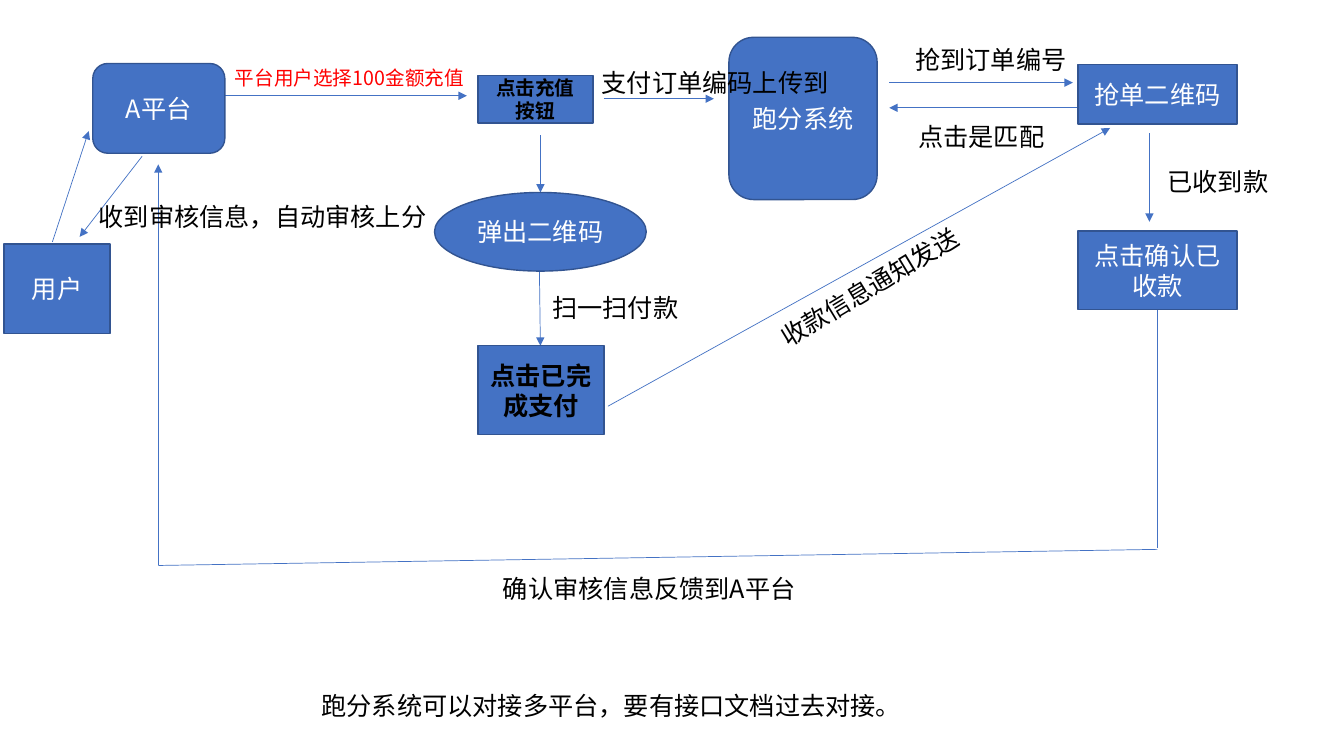
import pptx
import pptx.util
import pptx.dml.color
import pptx.enum.shapes
import pptx.enum.text
import pptx.oxml
import pptx.oxml.ns
from pptx.util import Inches

FONT = "Noto Sans CJK SC"
BLUE = pptx.dml.color.RGBColor(0x44, 0x72, 0xC4)
BORDER = pptx.dml.color.RGBColor(0x32, 0x54, 0x91)
WHITE = pptx.dml.color.RGBColor(0xFF, 0xFF, 0xFF)
BLACK = pptx.dml.color.RGBColor(0x00, 0x00, 0x00)
RED = pptx.dml.color.RGBColor(0xFF, 0x00, 0x00)

KINDS = pptx.enum.shapes.MSO_SHAPE
RECTANGLE, ROUNDED, OVAL = KINDS.RECTANGLE, KINDS.ROUNDED_RECTANGLE, KINDS.OVAL

STEPS = [
    ("A平台", ROUNDED, (0.92, 0.63, 1.31, 0.89), {}),
    ("跑分系统", ROUNDED, (7.23, 0.37, 1.47, 1.61), {}),
    ("点击充值按钮", RECTANGLE, (4.74, 0.75, 1.14, 0.47),
     {"size": 14, "color": BLACK, "bold": True}),
    ("抢单二维码", RECTANGLE, (10.69, 0.64, 1.58, 0.59), {}),
    ("点击已完成支付", RECTANGLE, (4.74, 3.43, 1.25, 0.88),
     {"color": BLACK, "bold": True}),
    ("弹出二维码", OVAL, (4.31, 1.91, 2.1, 0.78), {}),
    ("点击确认已收款", RECTANGLE, (10.69, 2.29, 1.58, 0.78), {}),
    ("用户", RECTANGLE, (0.04, 2.42, 1.05, 0.89), {}),
]

ARROWS = [
    ((1.85, 0.95), (4.63, 0.95)),
    ((5.99, 0.98), (7.08, 0.98)),
    ((8.82, 0.82), (10.64, 0.82)),
    ((10.69, 1.07), (8.82, 1.07)),
    ((5.36, 1.34), (5.36, 1.91)),
    ((5.35, 2.69), (5.36, 3.43)),
    ((6.03, 4.03), (11.01, 1.27)),
    ((11.4, 1.32), (11.4, 2.2)),
    ((1.57, 5.61), (1.57, 1.63)),
    ((0.52, 2.4), (0.88, 1.3)),
    ((1.41, 1.55), (0.79, 2.35)),
]

PLAIN_LINES = [
    ((11.48, 3.07), (11.48, 5.44)),
    ((11.48, 5.45), (1.57, 5.61)),
]

LABELS = [
    ("平台用户选择100金额充值", (2.23, 0.61, 3.08, 0.34), {"size": 14, "color": RED}),
    ("支付订单编码上传到", (5.87, 0.62, 2.73, 0.4), {}),
    ("抢到订单编号", (8.98, 0.39, 1.77, 0.4), {}),
    ("点击是匹配", (9.01, 1.15, 1.65, 0.4), {}),
    ("扫一扫付款", (5.38, 2.85, 1.89, 0.4), {}),
    ("收款信息通知发送", (7.51, 2.59, 2.41, 0.4), {"rotation": 328.9}),
    ("已收到款", (11.48, 1.6, 1.21, 0.4), {"wrap": False}),
    ("确认审核信息反馈到A平台", (4.89, 5.64, 3.55, 0.4), {}),
    ("收到审核信息，自动审核上分", (0.88, 1.95, 3.48, 0.4), {"wrap": False}),
    ("跑分系统可以对接多平台，要有接口文档过去对接。", (3.09, 6.8, 7.44, 0.4), {}),
]


def add_run(paragraph, text, size, color, bold=False):
    """Add one run of text, in the same font for Latin and Chinese."""
    run = paragraph.add_run()
    run.text = text
    run.font.size = pptx.util.Pt(size)
    run.font.bold = bold
    run.font.color.rgb = color
    run.font.name = FONT
    east_asian = pptx.oxml.parse_xml(
        f'<a:ea {pptx.oxml.ns.nsdecls("a")} typeface="{FONT}"/>')
    run.font._element.find(pptx.oxml.ns.qn("a:latin")).addnext(east_asian)


def add_step(slide, text, kind, box, size=18, color=WHITE, bold=False):
    """Add a filled flowchart step with centred text."""
    shape = slide.shapes.add_shape(kind, *map(Inches, box))
    shape.shadow.inherit = False
    shape.fill.solid()
    shape.fill.fore_color.rgb = BLUE
    shape.line.color.rgb = BORDER
    shape.line.width = pptx.util.Pt(1)
    frame = shape.text_frame
    frame.word_wrap = True
    frame.vertical_anchor = pptx.enum.text.MSO_ANCHOR.MIDDLE
    paragraph = frame.paragraphs[0]
    paragraph.alignment = pptx.enum.text.PP_ALIGN.CENTER
    add_run(paragraph, text, size, color, bold)


def add_line(slide, start, end, arrow=False):
    """Add a thin straight line, with an arrowhead at its end if asked."""
    connector = slide.shapes.add_connector(
        pptx.enum.shapes.MSO_CONNECTOR.STRAIGHT, *map(Inches, start + end))
    connector.line.color.rgb = BLUE
    connector.line.width = pptx.util.Pt(0.5)
    namespace = pptx.oxml.ns.nsdecls("a")
    if arrow:
        connector.line._get_or_add_ln().append(
            pptx.oxml.parse_xml(f'<a:tailEnd {namespace} type="triangle"/>'))
    connector._element.spPr.append(
        pptx.oxml.parse_xml(f"<a:effectLst {namespace}/>"))


def add_label(slide, text, box, size=18, color=BLACK, rotation=0, wrap=True):
    """Add a text box that grows with its text."""
    label = slide.shapes.add_textbox(*map(Inches, box))
    label.rotation = rotation
    frame = label.text_frame
    frame.word_wrap = wrap
    frame.auto_size = pptx.enum.text.MSO_AUTO_SIZE.SHAPE_TO_FIT_TEXT
    add_run(frame.paragraphs[0], text, size, color)


def main():
    """Build the payment flowchart slide and save it."""
    presentation = pptx.Presentation()
    presentation.slide_width = Inches(13.33)
    presentation.slide_height = Inches(7.5)
    slide = presentation.slides.add_slide(presentation.slide_layouts[6])
    for start, end in ARROWS:
        add_line(slide, start, end, arrow=True)
    for start, end in PLAIN_LINES:
        add_line(slide, start, end)
    for text, kind, box, style in STEPS:
        add_step(slide, text, kind, box, **style)
    for text, box, style in LABELS:
        add_label(slide, text, box, **style)
    presentation.save("out.pptx")


if __name__ == "__main__":
    main()
